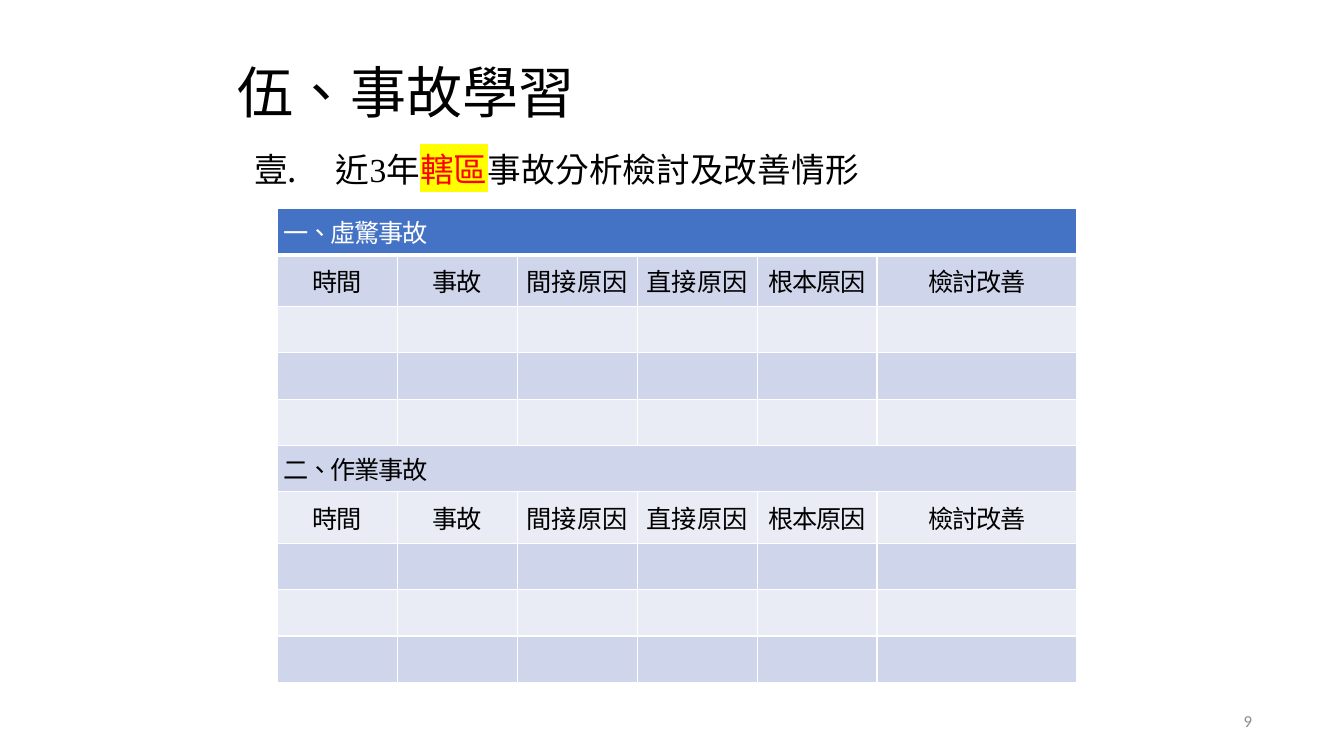
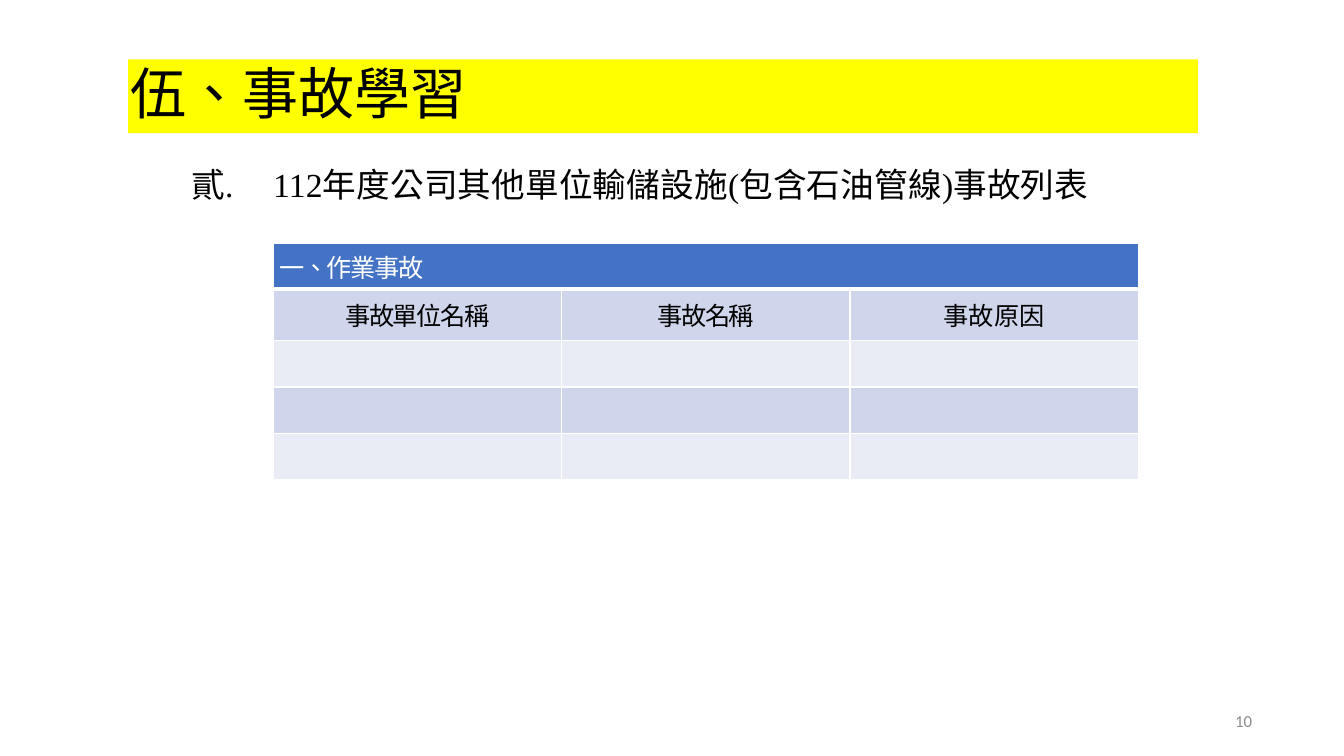
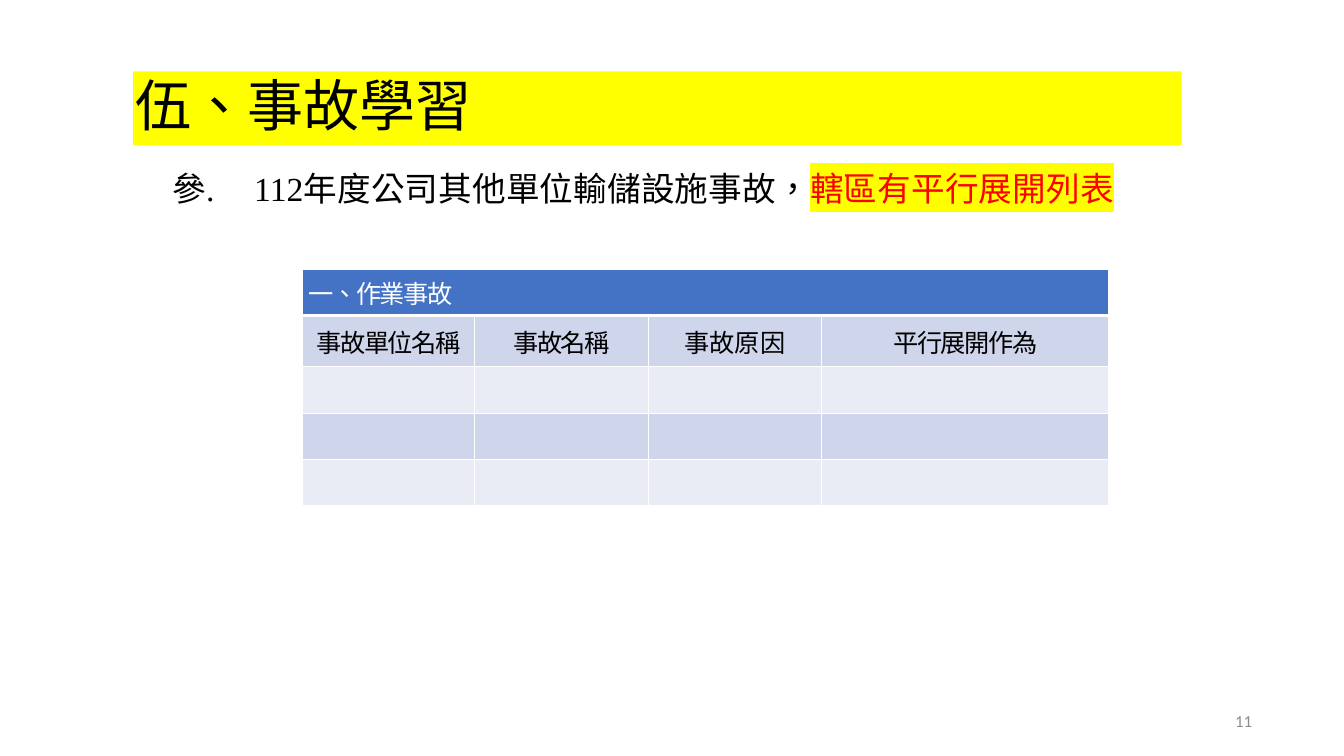
from dataclasses import dataclass

from lxml import etree
from pptx import Presentation
from pptx.dml.color import RGBColor
from pptx.enum import text as text_enum
from pptx.oxml.ns import qn
from pptx.util import Inches, Pt


@dataclass(frozen=True)
class Theme:
    text_font: str = "Times New Roman"
    cjk_font: str = "Noto Sans CJK SC"
    number_font: str = "Calibri"
    title_size: int = 40
    list_size: int = 24
    table_size: int = 18
    number_size: int = 12
    black: str = "000000"
    white: str = "FFFFFF"
    red: str = "FF0000"
    yellow: str = "FFFF00"
    gray: str = "8C8C8C"
    table_header: str = "4472C4"
    band_dark: str = "CFD5EA"
    band_light: str = "E9EBF5"


theme = Theme()
LEFT, CENTER, RIGHT = (text_enum.PP_ALIGN.LEFT, text_enum.PP_ALIGN.CENTER,
                       text_enum.PP_ALIGN.RIGHT)
ROWS_PER_SECTION = 5
LOOSE_HEADERS = {"間接原因", "直接原因", "事故原因"}


def write_text(frame, text, size, font=theme.text_font, color=theme.black,
               highlight=None, spacing=0.0, align=LEFT):
    """Append one formatted run to the first paragraph and return the paragraph."""
    paragraph = frame.paragraphs[0]
    paragraph.alignment = align
    paragraph.space_before = Pt(0)
    run = paragraph.add_run()
    run.text = text
    run.font.size = Pt(size)
    run.font.color.rgb = RGBColor.from_string(color)
    properties = run._r.get_or_add_rPr()
    properties.set("lang", "zh-TW")
    properties.set("spc", str(round(spacing * 100)))
    if highlight:
        mark = etree.SubElement(properties, qn("a:highlight"))
        etree.SubElement(mark, qn("a:srgbClr"), val=highlight)
    run.font.name = font
    etree.SubElement(properties, qn("a:ea"), typeface=theme.cjk_font)
    return paragraph


def prepare_frame(shape, box, anchor, grow=True):
    """Place a text shape and clear its margins."""
    shape.left, shape.top, shape.width, shape.height = map(Inches, box)
    frame = shape.text_frame
    frame.margin_left = frame.margin_right = frame.margin_top = frame.margin_bottom = 0
    frame.word_wrap = True
    frame.vertical_anchor = anchor
    sizing = text_enum.MSO_AUTO_SIZE
    frame.auto_size = sizing.SHAPE_TO_FIT_TEXT if grow else sizing.NONE
    return frame


# Each list item is a sequence of (text, emphasized) pieces.
pages = [
    {
        "title_box": (2.34, 0.57, 8.66, 0.67),
        "title_band": False,
        "list_box": (2.5, 1.48, 7.08, 0.4),
        "item": [("近3年", False), ("轄區", True), ("事故分析檢討及改善情形", False)],
        "table_at": (2.75, 2.07),
        "widths": [1.19] * 5 + [1.98],
        "sections": ["一、虛驚事故", "二、作業事故"],
        "headers": ["時間", "事故", "間接原因", "直接原因", "根本原因", "檢討改善"],
    },
    {
        "title_box": (1.27, 0.65, 10.61, 0.61),
        "title_band": True,
        "list_box": (1.88, 1.63, 10.24, 0.4),
        "item": [("112年度公司其他單位輸儲設施(包含石油管線)事故列表", False)],
        "table_at": (2.71, 2.41),
        "widths": [2.86] * 3,
        "sections": ["一、作業事故"],
        "headers": ["事故單位名稱", "事故名稱", "事故原因"],
    },
    {
        "title_box": (1.32, 0.77, 10.4, 0.61),
        "title_band": True,
        "list_box": (1.69, 1.67, 10.79, 0.4),
        "item": [("112年度公司其他單位輸儲設施事故，", False), ("轄區有平行展開列表", True)],
        "table_at": (3, 2.67),
        "widths": [1.71, 1.72, 1.72, 2.85],
        "sections": ["一、作業事故"],
        "headers": ["事故單位名稱", "事故名稱", "事故原因", "平行展開作為"],
    },
]

presentation = Presentation()
presentation.slide_width = Inches(13.33)
presentation.slide_height = Inches(7.5)
title_and_content = presentation.slide_layouts[1]
TOP, MIDDLE = text_enum.MSO_ANCHOR.TOP, text_enum.MSO_ANCHOR.MIDDLE

for item_number, page in enumerate(pages, start=1):
    slide = presentation.slides.add_slide(title_and_content)

    # Title
    title = slide.shapes.title
    frame = prepare_frame(title, page["title_box"], MIDDLE)
    paragraph = write_text(frame, "伍、事故學習", theme.title_size, spacing=0.1)
    paragraph._p.get_or_add_pPr().set("marL", str(Inches(0.02)))
    if page["title_band"]:
        title.fill.solid()
        title.fill.fore_color.rgb = RGBColor.from_string(theme.yellow)
        paragraph.line_spacing = 0.9

    # Numbered list item
    frame = prepare_frame(slide.placeholders[1], page["list_box"], TOP)
    properties = frame.paragraphs[0]._p.get_or_add_pPr()
    properties.set("marL", str(Inches(0.83)))
    properties.set("indent", str(Inches(-0.81)))
    etree.SubElement(properties, qn("a:buFont"), typeface=theme.text_font)
    etree.SubElement(properties, qn("a:buAutoNum"), type="ea1ChtPeriod",
                     startAt=str(item_number))
    for piece, emphasized in page["item"]:
        write_text(frame, piece, theme.list_size, spacing=0.1,
                   color=theme.red if emphasized else theme.black,
                   highlight=theme.yellow if emphasized else None)

    # Accident table
    widths, headers = page["widths"], page["headers"]
    row_count = ROWS_PER_SECTION * len(page["sections"])
    heights = [0.51 if row % ROWS_PER_SECTION == 1 else 0.46 for row in range(row_count)]
    left, top = page["table_at"]
    table = slide.shapes.add_table(
        row_count, len(widths), Inches(left), Inches(top),
        Inches(sum(widths)), Inches(sum(heights))).table
    for column, width in zip(table.columns, widths):
        column.width = Inches(width)

    for row, height in enumerate(heights):
        table.rows[row].height = Inches(height)
        section, section_row = divmod(row, ROWS_PER_SECTION)
        band = theme.band_dark if row % 2 else theme.band_light
        for column, header in enumerate(headers):
            cell = table.cell(row, column)
            cell.vertical_anchor = MIDDLE
            cell.margin_left = cell.margin_right = Inches(0.06)
            cell.margin_top = cell.margin_bottom = Inches(0.03)
            for edge in ("lnL", "lnR", "lnT", "lnB"):
                thick = (row, edge) in ((0, "lnB"), (1, "lnT"))
                line = etree.SubElement(cell._tc.get_or_add_tcPr(), qn(f"a:{edge}"),
                                        w=str(Pt(3 if thick else 1)))
                fill = etree.SubElement(line, qn("a:solidFill"))
                etree.SubElement(fill, qn("a:srgbClr"), val=theme.white)
            cell.fill.solid()
            cell.fill.fore_color.rgb = RGBColor.from_string(
                band if row else theme.table_header)
            if section_row == 1:
                write_text(cell.text_frame, header, theme.table_size,
                           font=theme.cjk_font, align=CENTER,
                           spacing=0 if header in LOOSE_HEADERS else -1)
        if section_row == 0:
            section_cell = table.cell(row, 0)
            section_cell.merge(table.cell(row, len(headers) - 1))
            write_text(section_cell.text_frame, page["sections"][section],
                       theme.table_size, font=theme.cjk_font, spacing=-1,
                       color=theme.black if row else theme.white)

    # Page number
    number_box = slide.shapes.add_textbox(0, 0, 0, 0)
    frame = prepare_frame(number_box, (9.42, 6.95, 3, 0.4), MIDDLE, grow=False)
    write_text(frame, str(item_number + 8), theme.number_size,
               font=theme.number_font, color=theme.gray, align=RIGHT)

presentation.save("out.pptx")
